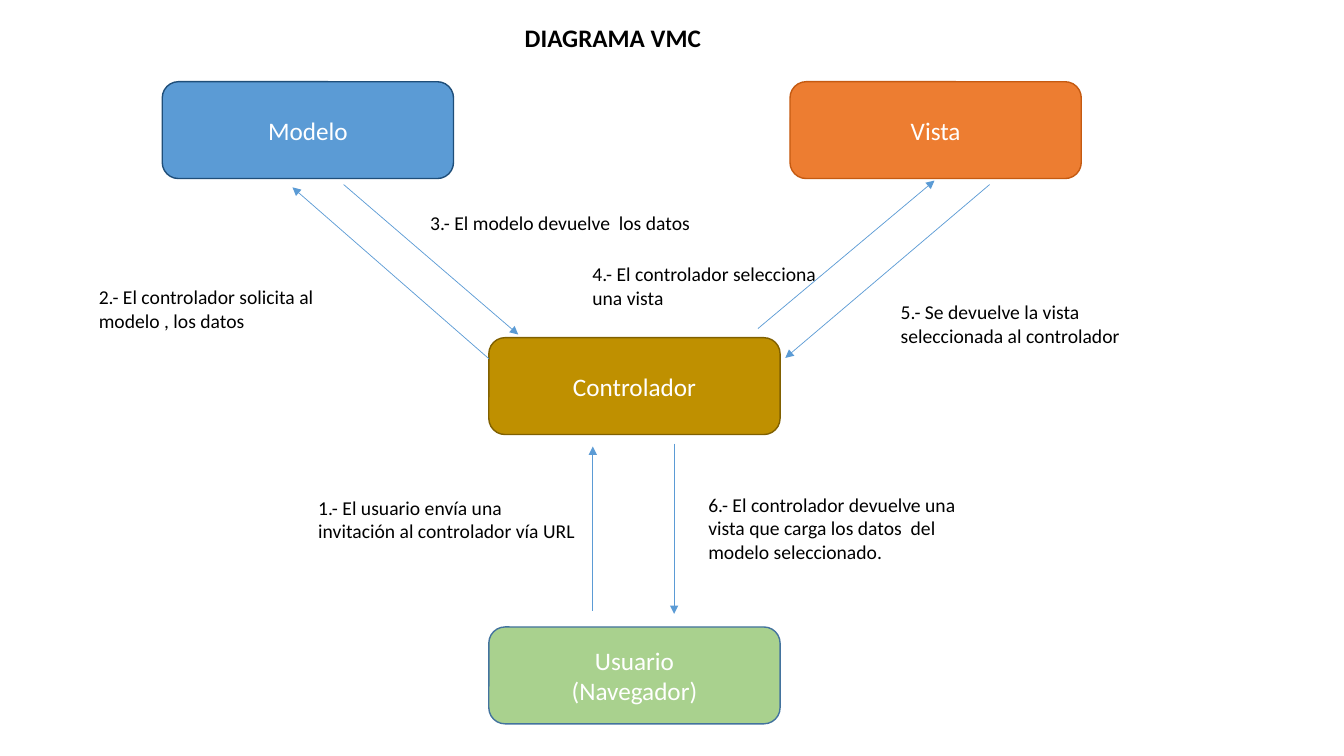
from typing import NamedTuple

from lxml import etree
from pptx import Presentation
from pptx.dml import color
from pptx.enum import shapes, text
from pptx.oxml import ns
from pptx.slide import Slide
from pptx.text.text import TextFrame
from pptx.util import Cm, Pt

FONT = "Calibri"
BLACK, WHITE, BLUE = "000000", "FFFFFF", "5B9BD5"
BOX_WIDTH, BOX_HEIGHT = 7.34, 2.44
LEFT, CENTER, RIGHT = 4.09, 12.32, 19.91


class Component(NamedTuple):
    label: str
    left: float
    top: float
    fill: str
    outline: str


class Caption(NamedTuple):
    label: str
    left: float
    top: float
    width: float
    height: float


class Arrow(NamedTuple):
    start: tuple[float, float]
    end: tuple[float, float]


COMPONENTS = [
    Component("Modelo", LEFT, 2.06, BLUE, "1F4E79"),
    Component("Vista", RIGHT, 2.06, "ED7D31", "C55A11"),
    Component("Controlador", CENTER, 8.51, "BF9000", "806000"),
    Component("Usuario\n(Navegador)", CENTER, 15.8, "A9D18E", "43739E"),
]

CAPTIONS = [
    Caption("1.- El usuario envía una invitación al controlador vía URL", 7.77, 12.37, 7.11, 1.45),
    Caption("2.- El controlador solicita al modelo , los datos", 2.24, 7.06, 7.11, 1.45),
    Caption("3.- El modelo devuelve  los datos", 10.59, 5.18, 8.66, 0.86),
    Caption("4.- El controlador selecciona una vista", 14.68, 6.48, 6.58, 1.45),
    Caption("5.- Se devuelve la vista seleccionada al controlador", 22.45, 7.44, 6.07, 1.45),
    Caption("6.- El controlador devuelve una vista que carga los datos  del modelo seleccionado.",
            17.6, 12.29, 7.34, 2.06),
]

ARROWS = [
    Arrow((14.94, 15.39), (14.94, 11.25)),
    Arrow((12.32, 9.04), (7.37, 4.72)),
    Arrow((19.1, 8.28), (23.55, 4.55)),
    Arrow((16.99, 11.18), (16.99, 15.47)),
    Arrow((24.94, 4.65), (19.79, 9.02)),
    Arrow((8.66, 4.65), (13.06, 8.43)),
]


def rgb(value: str) -> color.RGBColor:
    return color.RGBColor.from_string(value)


def write(frame: TextFrame, label: str, size: float, ink: str,
          align: text.PP_ALIGN, bold: bool = False) -> None:
    frame.text = label
    frame.word_wrap = True
    for para in frame.paragraphs:
        para.alignment = align
        for span in para.runs:
            span.font.name = FONT
            span.font.size = Pt(size)
            span.font.bold = bold
            span.font.color.rgb = rgb(ink)


def add_title(page: Slide, label: str) -> None:
    title = page.shapes.title
    title.left, title.top, title.width, title.height = Cm(LEFT), Cm(0.43), Cm(22.71), Cm(1.02)
    write(title.text_frame, label, 18, BLACK, text.PP_ALIGN.CENTER, bold=True)
    title.text_frame.auto_size = text.MSO_AUTO_SIZE.SHAPE_TO_FIT_TEXT


def add_component(page: Slide, item: Component) -> None:
    box = page.shapes.add_shape(shapes.MSO_SHAPE.ROUNDED_RECTANGLE, Cm(item.left), Cm(item.top),
                                Cm(BOX_WIDTH), Cm(BOX_HEIGHT))
    box.shadow.inherit = False
    box.fill.solid()
    box.fill.fore_color.rgb = rgb(item.fill)
    box.line.color.rgb = rgb(item.outline)
    box.line.width = Pt(1)
    box.text_frame.vertical_anchor = text.MSO_ANCHOR.MIDDLE
    write(box.text_frame, item.label, 18, WHITE, text.PP_ALIGN.CENTER)


def add_caption(page: Slide, item: Caption) -> None:
    box = page.shapes.add_textbox(Cm(item.left), Cm(item.top), Cm(item.width), Cm(item.height))
    write(box.text_frame, item.label, 14, BLACK, text.PP_ALIGN.LEFT)
    box.text_frame.auto_size = text.MSO_AUTO_SIZE.SHAPE_TO_FIT_TEXT


def add_arrow(page: Slide, item: Arrow) -> None:
    points = [Cm(value) for value in item.start + item.end]
    arrow = page.shapes.add_connector(shapes.MSO_CONNECTOR.STRAIGHT, *points)
    arrow.line.color.rgb = rgb(BLUE)
    arrow.line.width = Pt(0.5)
    properties = arrow.line._get_or_add_ln()
    etree.SubElement(properties, ns.qn("a:tailEnd"), type="triangle")
    etree.SubElement(properties.getparent(), ns.qn("a:effectLst"))


def main() -> None:
    deck = Presentation()
    deck.slide_width, deck.slide_height = Cm(33.87), Cm(19.05)
    page = deck.slides.add_slide(deck.slide_layouts.get_by_name("Title Only"))

    # Heading
    add_title(page, "DIAGRAMA VMC")

    # Components of the pattern
    for component in COMPONENTS:
        add_component(page, component)

    # Numbered steps and the flow between components
    for caption in CAPTIONS:
        add_caption(page, caption)
    for arrow in ARROWS:
        add_arrow(page, arrow)

    deck.save("out.pptx")


if __name__ == "__main__":
    main()
